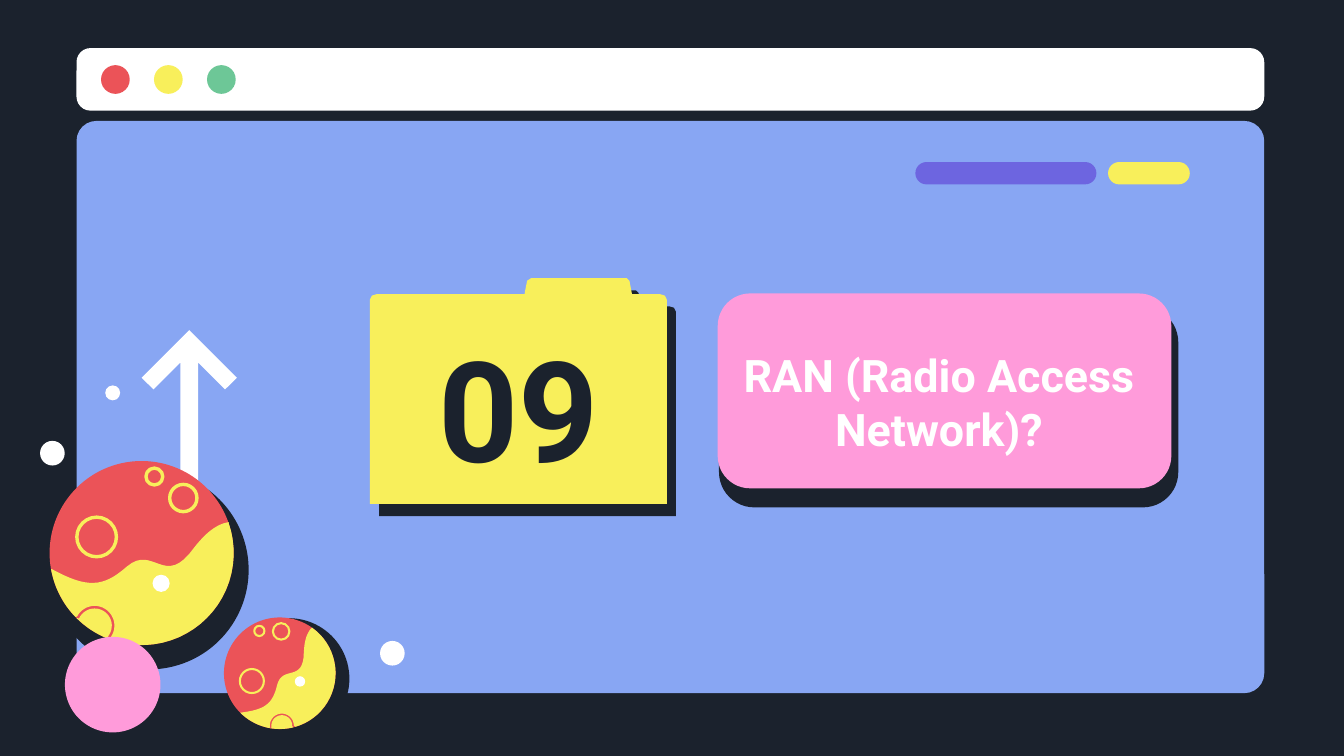
"""Build a section slide: browser window, numbered folder, title card and planets."""
from math import atan2, cos, hypot, pi, radians, sin

from lxml import etree
from pptx import Presentation
from pptx.dml.color import RGBColor
from pptx.enum.shapes import MSO_SHAPE
from pptx.enum.text import MSO_ANCHOR, MSO_AUTO_SIZE, PP_ALIGN
from pptx.oxml.ns import qn
from pptx.util import Pt

OVAL, ROUNDED = MSO_SHAPE.OVAL, MSO_SHAPE.ROUNDED_RECTANGLE
MIDDLE, CENTER, NO_FIT = MSO_ANCHOR.MIDDLE, PP_ALIGN.CENTER, MSO_AUTO_SIZE.NONE
TITLE_ONLY = 5
COLORS = {
    "ink": "1B222D", "sky": "88A6F3", "white": "FFFFFF", "red": "EB5358",
    "yellow": "F8EF5B", "green": "6DC797", "violet": "6D65E0", "pink": "FF9BDA",
}
FRAME = {"word_wrap": True, "auto_size": NO_FIT, "vertical_anchor": MIDDLE,
         "margin_left": Pt(7.2), "margin_right": Pt(7.2),
         "margin_top": Pt(7.2), "margin_bottom": Pt(7.2)}
FONT = {"name": "Roboto", "bold": True}


def rgb(color):
    """Return the named palette colour."""
    return RGBColor.from_string(COLORS[color])


def apply_format(target, values):
    """Set every attribute listed in values on target."""
    for name, value in values.items():
        setattr(target, name, value)


def paint(shape, fill=None, line=None, weight=1):
    """Give a shape a flat fill and an optional outline, with no shadow."""
    shape.shadow.inherit = False
    if fill:
        shape.fill.solid()
        shape.fill.fore_color.rgb = rgb(fill)
    else:
        shape.fill.background()
    if line:
        shape.line.color.rgb = rgb(line)
        shape.line.width = Pt(weight)
    else:
        shape.line.fill.background()
    return shape


def add_card(slide, box, radius, fill, **outline):
    """Add a rounded rectangle with a corner radius in points."""
    card = slide.shapes.add_shape(ROUNDED, *map(Pt, box))
    card.adjustments[0] = radius / min(box[2:])
    return paint(card, fill, **outline)


def add_disc(slide, x, y, radius, fill=None, **outline):
    """Add a circle around a centre."""
    box = (x - radius, y - radius, 2 * radius, 2 * radius)
    return paint(slide.shapes.add_shape(OVAL, *map(Pt, box)), fill, **outline)


def add_outline(slide, contours, fill):
    """Add a closed freeform made of one or more contours."""
    contours = [[(Pt(x), Pt(y)) for x, y in contour] for contour in contours]
    builder = slide.shapes.build_freeform(*contours[0][0], scale=1.0)
    for index, contour in enumerate(contours):
        if index:
            builder.move_to(*contour[0])
        builder.add_line_segments(contour[1:], close=True)
    return paint(builder.convert_to_shape(), fill)


def arc(x, y, radius, start, end, steps=24):
    """Return points along a circular arc between two angles in degrees."""
    angles = [radians(start + (end - start) * i / steps) for i in range(steps + 1)]
    return [(x + radius * cos(a), y + radius * sin(a)) for a in angles]


def curve(a, b, c, d, steps=16):
    """Return points along a cubic curve."""
    weights = [((1 - t) ** 3, 3 * t * (1 - t) ** 2, 3 * t * t * (1 - t), t ** 3)
               for t in (i / steps for i in range(steps + 1))]
    return [tuple(sum(w * p[axis] for w, p in zip(ws, (a, b, c, d)))
                  for axis in (0, 1)) for ws in weights]


def write_text(shape, text, size, color):
    """Write one centred bold line of text into a shape."""
    frame = shape.text_frame
    apply_format(frame, FRAME)
    paragraph = frame.paragraphs[0]
    paragraph.alignment = CENTER
    run = paragraph.add_run()
    run.text = text
    apply_format(run.font, {**FONT, "size": Pt(size)})
    run.font.color.rgb = rgb(color)


def add_window(slide, box):
    """Draw the browser window with its bar, buttons and tags."""
    left, top, width, height = box
    add_card(slide, (left, top + 39, width, height - 39), 10.7, "sky")
    add_card(slide, (left, top, width, 33.5), 7.5, "white")
    for index, color in enumerate(("red", "yellow", "green")):
        add_disc(slide, left + 20.8 + 28.4 * index, top + 16.8, 7.7, color)
    for offset, length, color in ((449.4, 97, "violet"), (552.6, 43.8, "yellow")):
        add_card(slide, (left + offset, top + 61, length, 12), 6, color)


def add_arrow(slide, box):
    """Draw the block arrow that points up."""
    left, top, width, height = box
    half = [(0, 0), (25.5, 25.5), (19.2, 31.7), (4.7, 17.3), (4.7, height)]
    middle = left + width / 2
    points = [(middle + x, top + y) for x, y in half]
    points += [(middle - x, top + y) for x, y in reversed(half[1:])]
    add_outline(slide, [points], "white")


def add_title_card(slide, box, text):
    """Draw the pink card and put the slide title on it."""
    left, top, width, height = box
    add_card(slide, (left + 2.2, top + 8.7, width, height), 17.4, "ink",
             line="ink", weight=3)
    add_card(slide, box, 17.4, "pink")
    title = slide.shapes.title
    apply_format(title, {"left": Pt(left - 3), "top": Pt(top + 25),
                         "width": Pt(width), "height": Pt(66.2)})
    write_text(title, text, 24, "white")
    title.element.getparent().append(title.element)


def add_folder(slide, box, number):
    """Draw the folder with a hard shadow and its number."""
    left, top, width, height = box
    edge = [(0, height), (0, 11.5), (1, 9.4), (3.6, 8.6), (82.8, 8.6), (84.2, 1.4),
            (86.4, 0), (137.5, 0), (139, 1.4), (140.4, 8.6), (width - 3.6, 8.6),
            (width - 1, 9.4), (width, 11.5), (width, height)]
    folder = add_outline(slide, [[(left + x, top + y) for x, y in edge]], "yellow")
    effects = folder.element.spPr.find(qn("a:effectLst"))
    shadow = etree.SubElement(effects, qn("a:outerShdw"), dist=str(Pt(8.2)),
                              dir=str(53 * 60000), algn="bl", rotWithShape="0")
    etree.SubElement(shadow, qn("a:srgbClr"), val=COLORS["ink"])
    label = slide.shapes.add_textbox(Pt(left + 18.7), Pt(top + 33.2), Pt(122.4), Pt(71.3))
    write_text(label, number, 75, "ink")


def add_planet(slide, box, turn, shade):
    """Draw a cratered planet, turned by degrees, over its shade disc."""
    left, top, size, _ = box
    center_x, center_y, scale = left + size / 2, top + size / 2, size / 98.6

    def place(x, y):
        """Turn and scale a point of the planet's own grid."""
        angle, reach = atan2(y, x) + turn * pi / 180, hypot(x, y) * scale
        return center_x + reach * cos(angle), center_y + reach * sin(angle)

    add_disc(slide, *shade, "ink")
    add_disc(slide, center_x, center_y, size / 2, "red")
    for x, y, radius in ((-24.1, -8.6, 10.6), (22.3, -29.5, 7.3), (6.8, -41, 4.5)):
        add_disc(slide, *place(x, y), radius * scale, line="yellow", weight=1.8 * scale)
    shore = [(-48.2, 8.6), (-29.5, 18.7), (-20.9, 18.7), (-7.9, 7.2), (6.5, -5),
             (12.2, 19.4), (28.1, -2.9), (36, -13), (41.8, -15.8), (46.8, -16.6)]
    sea = [point for i in (0, 3, 6) for point in curve(*shore[i:i + 4])]
    sea += arc(0, 0, 49.3, -19.5, 109) + arc(-25.2, 38.9, 10.6, 35, -153)
    sea += arc(0, 0, 49.3, 136, 170)
    island = arc(-25.2, 38.9, 9.2, 38, -155) + arc(0, 0, 49.3, 135, 111)
    add_outline(slide, [[place(*p) for p in part] for part in (sea, island)], "yellow")
    add_disc(slide, *place(10.4, 16.2), 4.6 * scale, "white")


def build_slide(prs):
    """Lay out the section slide."""
    slide = prs.slides.add_slide(prs.slide_layouts[TITLE_ONLY])
    slide.background.fill.solid()
    slide.background.fill.fore_color.rgb = rgb("ink")
    add_window(slide, (41, 25.8, 636.3, 345.6))
    add_disc(slide, 28.1, 242.8, 6.6, "white")
    add_arrow(slide, (75.9, 176.9, 51, 132))
    add_title_card(slide, (384.5, 157.2, 243, 104.4), "RAN (Radio Access Network)?")
    add_folder(slide, (198.2, 149, 159, 121), "09")
    add_planet(slide, (26.6, 247, 98.6, 98.6), 0, (79.9, 305.3, 53.3))
    add_disc(slide, 60.4, 366.8, 25.6, "pink")
    add_planet(slide, (120, 330.8, 59.8, 59.8), -35.2, (154.8, 363.6, 32.4))
    add_disc(slide, 210.2, 350, 6.6, "white")
    add_disc(slide, 60.4, 210.5, 4, "white")


def main():
    """Create and save the presentation."""
    prs = Presentation()
    apply_format(prs, {"slide_width": Pt(720), "slide_height": Pt(405)})
    build_slide(prs)
    prs.save("out.pptx")


if __name__ == "__main__":
    main()
